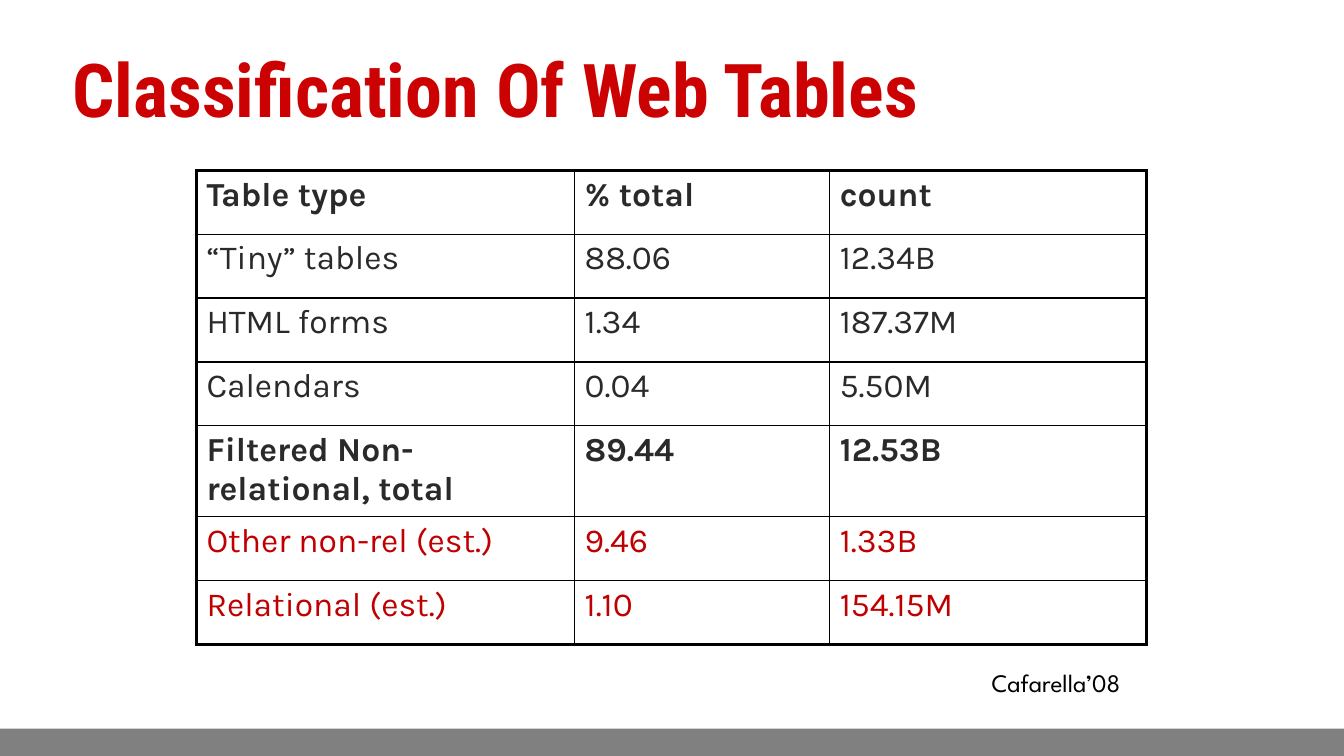
from lxml import etree
from pptx import Presentation
from pptx import util as u
from pptx.dml.color import RGBColor
from pptx.enum import shapes, text
from pptx.oxml import ns

RED = RGBColor(0xCC, 0x01, 0x02)
ESTIMATE_RED = RGBColor(0xC0, 0x00, 0x00)
INK = RGBColor(0x2A, 0x2A, 0x2A)
BLACK = RGBColor(0x00, 0x00, 0x00)
GREY = RGBColor(0x80, 0x80, 0x80)

SLIDE_WIDTH, SLIDE_HEIGHT = 33.87, 19.05
OUTER, INNER = 2.25, 1
COLUMN_WIDTHS = [9.53, 6.43, 7.98]
ROW_HEIGHT, TOTAL_ROW_HEIGHT = 1.61, 2.29
TABLE_TYPES = [
    (("Table type", "% total", "count"), INK, True),
    (("“Tiny” tables", "88.06", "12.34B"), INK, False),
    (("HTML forms", "1.34", "187.37M"), INK, False),
    (("Calendars", "0.04", "5.50M"), INK, False),
    (("Filtered Non-relational, total", "89.44", "12.53B"), INK, True),
    (("Other non-rel (est.)", "9.46", "1.33B"), ESTIMATE_RED, False),
    (("Relational (est.)", "1.10", "154.15M"), ESTIMATE_RED, False),
]
TOTAL_ROW = 4


def write(frame, words, *, font, size, color, bold=False):
    run = frame.paragraphs[0].add_run()
    run.text = words
    run.font.name = font
    run.font.size = u.Pt(size)
    run.font.bold = bold
    run.font.color.rgb = color


def set_borders(cell, widths):
    properties = cell._tc.get_or_add_tcPr()
    for side, width in widths.items():
        line = etree.SubElement(properties, ns.qn(f"a:ln{side}"), w=str(u.Pt(width)))
        fill = etree.SubElement(line, ns.qn("a:solidFill"))
        etree.SubElement(fill, ns.qn("a:srgbClr"), val=str(BLACK))


def add_footer_bar(slide, left, top, width, height):
    bar = slide.shapes.add_shape(
        shapes.MSO_SHAPE.RECTANGLE, u.Cm(left), u.Cm(top), u.Cm(width), u.Cm(height))
    bar.shadow.inherit = False
    bar.fill.solid()
    bar.fill.fore_color.rgb = GREY
    bar.line.fill.background()


def add_title(slide, left, top, width, height):
    title = slide.shapes.add_textbox(u.Cm(left), u.Cm(top), u.Cm(width), u.Cm(height))
    frame = title.text_frame
    frame.word_wrap = True
    frame.vertical_anchor = text.MSO_ANCHOR.MIDDLE
    frame.margin_left = frame.margin_right = u.Cm(0.13)
    write(frame, "Classification Of Web Tables",
          font="Roboto Condensed", size=53, color=RED, bold=True)


def add_classification(slide, left, top, width, height):
    last_row, last_column = len(TABLE_TYPES) - 1, len(COLUMN_WIDTHS) - 1
    table = slide.shapes.add_table(
        last_row + 1, last_column + 1,
        u.Cm(left), u.Cm(top), u.Cm(width), u.Cm(height)).table
    table.first_row = table.horz_banding = False
    for column, column_width in zip(table.columns, COLUMN_WIDTHS):
        column.width = u.Cm(column_width)
    for r, (values, color, bold) in enumerate(TABLE_TYPES):
        table.rows[r].height = u.Cm(TOTAL_ROW_HEIGHT if r == TOTAL_ROW else ROW_HEIGHT)
        for c, value in enumerate(values):
            cell = table.cell(r, c)
            set_borders(cell, {
                "L": OUTER if c == 0 else INNER,
                "R": OUTER if c == last_column else INNER,
                "T": OUTER if r == 0 else INNER,
                "B": OUTER if r == last_row else INNER,
            })
            cell.fill.background()
            write(cell.text_frame, value, font="Karla", size=24, color=color, bold=bold)


def add_citation(slide, left, top, width, height):
    citation = slide.shapes.add_textbox(u.Cm(left), u.Cm(top), u.Cm(width), u.Cm(height))
    citation.text_frame.word_wrap = False
    citation.text_frame.auto_size = text.MSO_AUTO_SIZE.SHAPE_TO_FIT_TEXT
    write(citation.text_frame, "Cafarella’08", font="League Spartan", size=18, color=BLACK)


def main():
    deck = Presentation()
    deck.slide_width, deck.slide_height = u.Cm(SLIDE_WIDTH), u.Cm(SLIDE_HEIGHT)
    slide = deck.slides.add_slide(deck.slide_layouts[6])
    bar_top = 18.36
    add_footer_bar(slide, 0, bar_top, SLIDE_WIDTH, SLIDE_HEIGHT - bar_top)
    add_title(slide, 1.7, 0, SLIDE_WIDTH - 1.7, 4.45)
    table_height = (len(TABLE_TYPES) - 1) * ROW_HEIGHT + TOTAL_ROW_HEIGHT
    add_classification(slide, 4.95, 4.29, sum(COLUMN_WIDTHS), table_height)
    add_citation(slide, 24.74, 16.69, 4.22, 1.02)
    deck.save("out.pptx")


if __name__ == "__main__":
    main()
